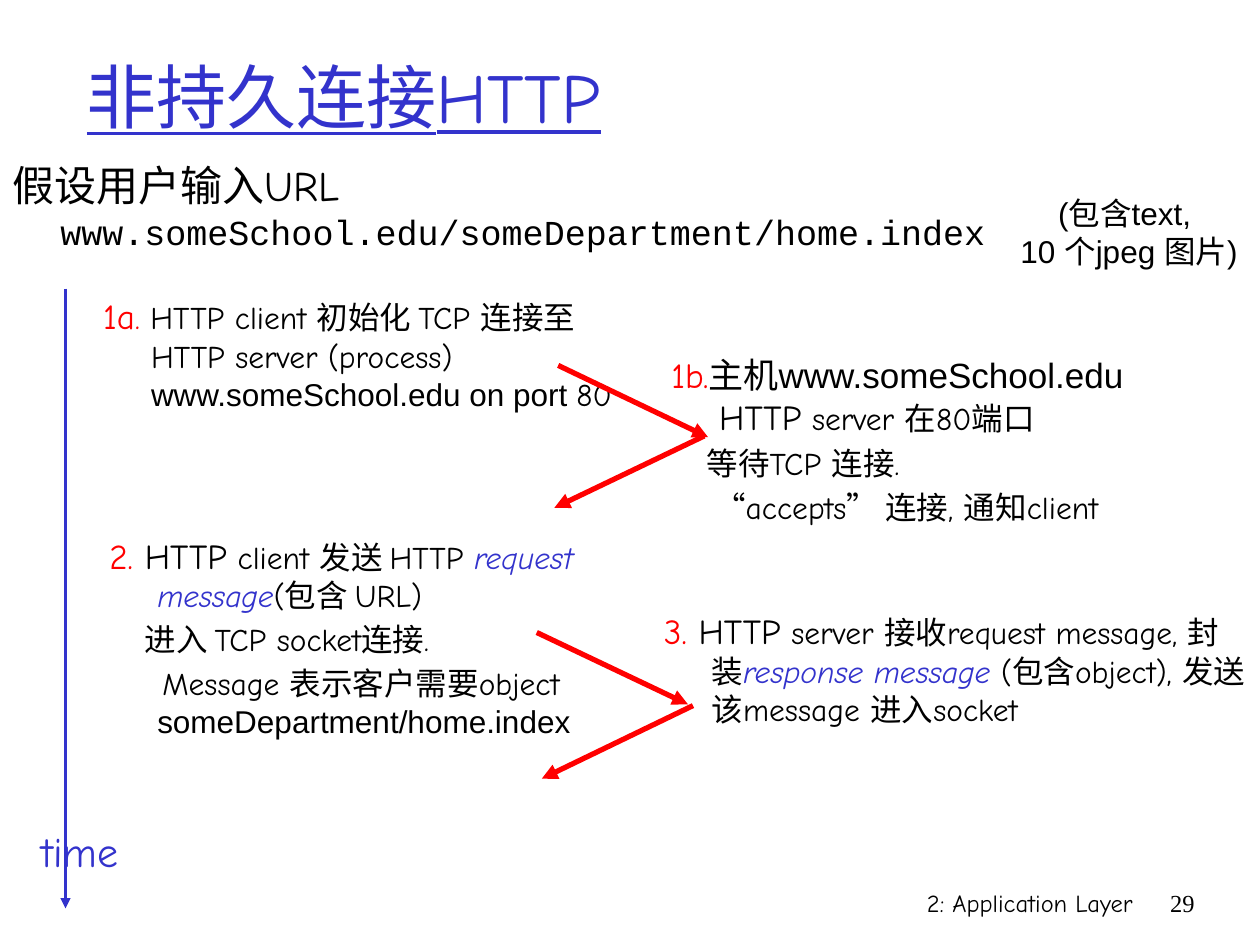
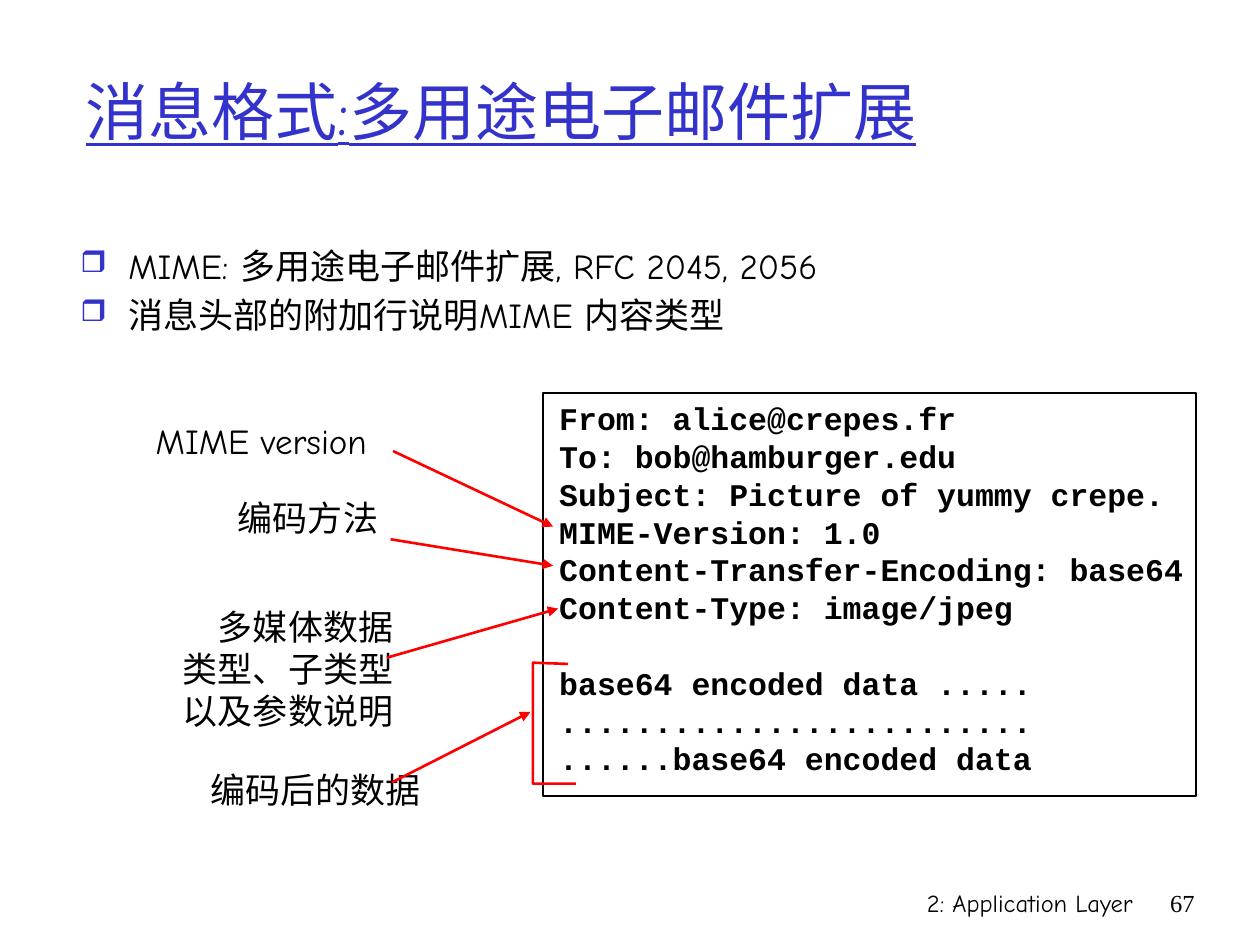
from dataclasses import dataclass
from lxml import etree
from pptx import Presentation
from pptx import util as u
from pptx.dml.color import RGBColor
from pptx.enum import shapes, text
from pptx.oxml import ns


@dataclass(frozen=True)
class Theme:
    ink: str = "000000"
    blue: str = "3333CC"
    red: str = "FF0000"
    hand: str = "Comic Neue"
    sans: str = "Arial"
    code: str = "Courier New"
    serif: str = "Times New Roman"
    lead: int = 24
    item: int = 20
    body: int = 18
    footer: int = 14
    thin: float = 1.5
    thick: float = 3


theme = Theme()
LEFT, CENTER, RIGHT = text.PP_ALIGN.LEFT, text.PP_ALIGN.CENTER, text.PP_ALIGN.RIGHT


def write(page, place, paras, size=theme.body, font=theme.hand, color=theme.ink,
          align=LEFT, wrap=True, bold=None, hang=None, starts=(), gap=0):
    box = page.shapes.add_textbox(*map(u.Inches, place))
    frame = box.text_frame
    frame.word_wrap = wrap
    for number, runs in enumerate(paras):
        para = frame.paragraphs[0] if number == 0 else frame.add_paragraph()
        para.alignment = align
        if number:
            para.space_before = u.Pt(gap)
        if hang:
            start = starts[number] if number < len(starts) else 0
            properties = para._p.get_or_add_pPr()
            properties.set("marL", str(u.Inches(hang)))
            properties.set("indent", str(u.Inches(start - hang)))
        for words, style in ([(runs, {})] if isinstance(runs, str) else runs):
            span = para.add_run()
            span.text = words
            span.font.size = u.Pt(style.get("size", size))
            span.font.name = style.get("font", font)
            span.font.color.rgb = RGBColor.from_string(style.get("color", color))
            span.font.italic = style.get("italic")
            span.font.bold = bold
    return box


def draw_arrow(page, start, end, color, width):
    line = page.shapes.add_connector(shapes.MSO_CONNECTOR.STRAIGHT,
                                     *map(u.Inches, (*start, *end)))
    line.line.color.rgb = RGBColor.from_string(color)
    line.line.width = u.Pt(width)
    etree.SubElement(line.line._get_or_add_ln(), ns.qn("a:tailEnd"), type="triangle")
    etree.SubElement(line._element.spPr, ns.qn("a:effectLst"))


deck = Presentation()
deck.slide_width, deck.slide_height = u.Inches(10), u.Inches(7.5)

pages = []
for title, place, size, number in (
    ("非持久连接HTTP", (0.59, 0.28, 8.5, 0.95), 40, "29"),
    ("消息格式:多用途电子邮件扩展", (0.58, 0.25, 9.17, 1.25), 36, "67"),
):
    page = deck.slides.add_slide(deck.slide_layouts[5])
    pages.append(page)
    heading = page.shapes.title
    heading.left, heading.top, heading.width, heading.height = map(u.Inches, place)
    frame = heading.text_frame
    frame.text = title
    frame.auto_size = text.MSO_AUTO_SIZE.NONE
    frame.vertical_anchor = text.MSO_ANCHOR.MIDDLE
    para = frame.paragraphs[0]
    para.alignment = LEFT
    font = para.runs[0].font
    font.size, font.name, font.underline = u.Pt(size), theme.hand, True
    font.color.rgb = RGBColor.from_string(theme.blue)
    write(page, (5.92, 7, 3.17, 0.5), ["2: Application Layer"], theme.footer, align=RIGHT)
    write(page, (9.08, 7, 0.5, 0.5), [number], theme.footer, theme.serif, align=RIGHT)

http, mime = pages

step = {"size": theme.item, "color": theme.red}
large = {"size": theme.item}
sans = {"font": theme.sans}
term = {"color": theme.blue, "italic": True}

draw_arrow(http, (0.52, 2.29), (0.52, 7.21), theme.blue, theme.thin)
write(http, (0, 1.22, 9.12, 0.51), [[
    ("假设用户输入URL ", {"size": theme.lead}),
    ("www.someSchool.edu/someDepartment/home.index",
     {"size": theme.item, "font": theme.code}),
]], hang=0.38)

steps = (
    ((0.72, 2.29, 4.31, 2.08), (), [
        [("1a", step), (".", {"color": theme.red}),
         (" HTTP client 初始化 TCP 连接至HTTP server (process) ", {}),
         ("www.someSchool.edu on port ", sans), ("80", {})],
    ]),
    ((0.77, 4.19, 4.17, 1.18), (0, 0.28, 0.42), [
        [("2.", step), (" HTTP", large), (" client 发送 HTTP ", {}),
         ("request message", term), ("(包含 URL)", {})],
        "进入 TCP socket连接.",
        [("Message 表示客户需要object ", {}), ("someDepartment/home.index", sans)],
    ]),
    ((5.23, 2.76, 4.17, 1.65), (0, 0.28, 0.34), [
        [("1b.", step), ("主机", large), ("www.someSchool.edu ", large | sans),
         ("HTTP", large), (" server 在80端口", {})],
        "等待TCP 连接.",
        "“accepts” 连接, 通知client",
    ]),
    ((5.17, 4.79, 4.83, 1.97), (), [
        [("3.", step), (" HTTP", large), (" server 接收request message, 封装", {}),
         ("response message", term),
         (" (包含object), 发送该message 进入socket", {})],
    ]),
)
for place, starts, paras in steps:
    write(http, place, paras, hang=0.38, starts=starts, gap=3.6)

for start, end in (
    ((4.43, 2.9), (5.62, 3.47)),
    ((5.59, 3.46), (4.4, 4.03)),
    ((4.26, 5.02), (5.46, 5.59)),
    ((5.5, 5.6), (4.3, 6.18)),
):
    draw_arrow(http, start, end, theme.red, theme.thick)

write(http, (0.19, 6.5, 0.89, 0.5), ["time"], theme.lead, color=theme.blue,
      align=CENTER, wrap=False)
write(http, (7.92, 1.49, 2.08, 0.71), ["(包含text, ", "10 个jpeg 图片)"],
      font=theme.sans, align=CENTER)

points = write(mime, (0.54, 1.89, 8.01, 4.7), [
    "MIME: 多用途电子邮件扩展, RFC 2045, 2056",
    "消息头部的附加行说明MIME 内容类型",
], theme.item, hang=0.38, gap=4)
for para in points.text_frame.paragraphs:
    properties = para._p.get_or_add_pPr()
    tint = etree.SubElement(properties, ns.qn("a:buClr"))
    etree.SubElement(tint, ns.qn("a:srgbClr"), val=theme.blue)
    etree.SubElement(properties, ns.qn("a:buSzPct"), val="85000")
    etree.SubElement(properties, ns.qn("a:buChar"), char="❒")

border = mime.shapes.add_shape(shapes.MSO_SHAPE.RECTANGLE,
                               *map(u.Inches, (4.31, 3.12, 5.18, 3.2)))
border.shadow.inherit = False
border.fill.background()
border.line.color.rgb = RGBColor.from_string(theme.ink)
border.line.width = u.Pt(1)

message = write(mime, (4.34, 3.12, 5.44, 3.4), [
    "From: alice@crepes.fr",
    "To: bob@hamburger.edu",
    "Subject: Picture of yummy crepe.",
    "MIME-Version: 1.0",
    "Content-Transfer-Encoding: base64",
    "Content-Type: image/jpeg",
    "base64 encoded data .....",
    ".........................",
    "......base64 encoded data",
], font=theme.code, bold=True)
message.text_frame.paragraphs[6].space_before = u.Pt(21.6)

labels = (
    ((1.06, 3.28, 2.03, 0.43), CENTER, ["MIME version"], (3.12, 3.58), (4.39, 4.18)),
    ((1.78, 3.89, 1.32, 0.44), RIGHT, ["编码方法"], (3.1, 4.28), (4.39, 4.49)),
    ((1.33, 4.76, 1.89, 1.11), RIGHT, ["多媒体数据", "类型、子类型", "以及参数说明"],
     (3.07, 5.22), (4.43, 4.83)),
    ((1.55, 6.05, 1.89, 0.44), RIGHT, ["编码后的数据"], (3.11, 6.21), (4.21, 5.65)),
)
for place, align, lines, start, end in labels:
    write(mime, place, lines, theme.item, align=align, wrap=False)
    draw_arrow(mime, start, end, theme.red, theme.thin)

corners = [(u.Inches(x), u.Inches(y))
           for x, y in ((4.51, 5.27), (4.23, 5.26), (4.23, 6.22), (4.57, 6.22))]
builder = mime.shapes.build_freeform(*corners[0])
builder.add_line_segments(corners[1:], close=False)
bracket = builder.convert_to_shape()
bracket.shadow.inherit = False
bracket.fill.background()
bracket.line.color.rgb = RGBColor.from_string(theme.red)
bracket.line.width = u.Pt(theme.thin)

deck.save("out.pptx")
